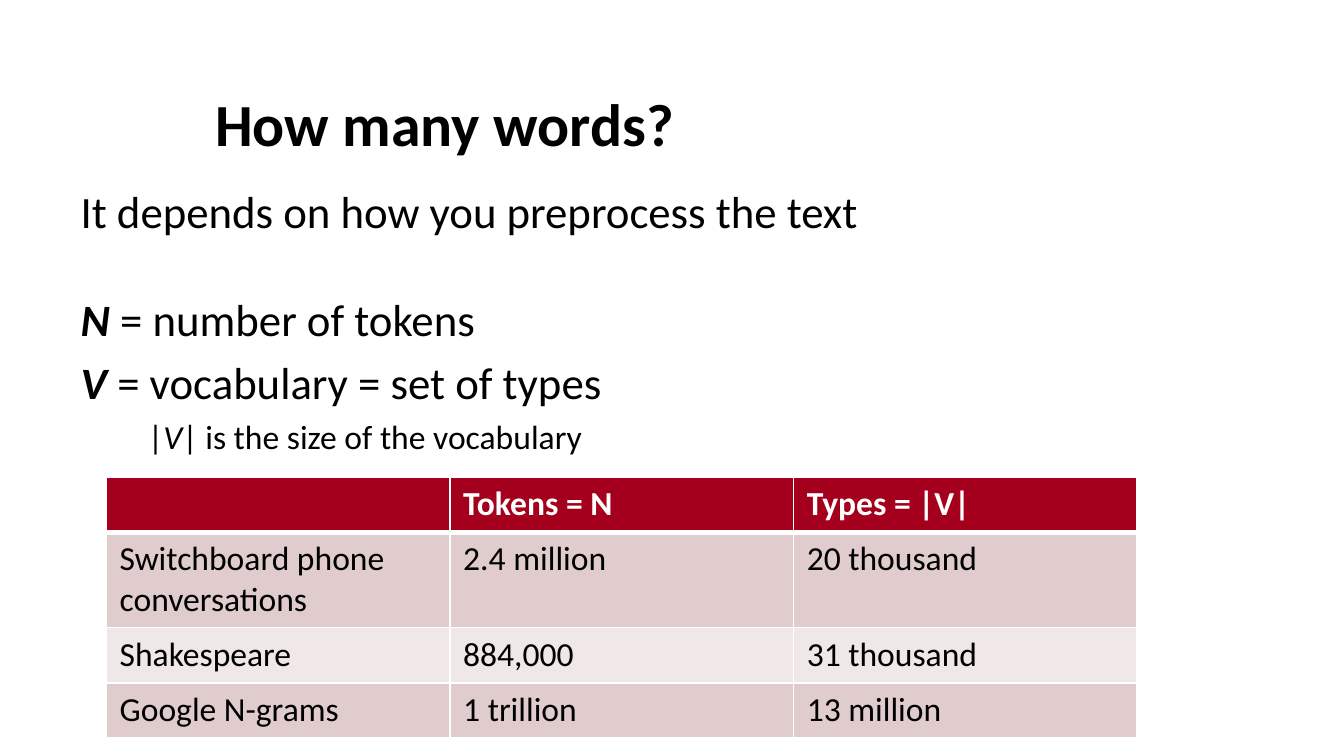
from lxml import etree
from pptx import Presentation
from pptx.dml.color import RGBColor
from pptx.enum.text import MSO_ANCHOR, MSO_AUTO_SIZE, PP_ALIGN
from pptx.oxml.ns import qn
from pptx.util import Inches, Pt

LEFT = PP_ALIGN.LEFT
TOP = MSO_ANCHOR.TOP
BOTTOM = MSO_ANCHOR.BOTTOM
NO_AUTOFIT = MSO_AUTO_SIZE.NONE

BLACK = RGBColor(0x00, 0x00, 0x00)
WHITE = RGBColor(0xFF, 0xFF, 0xFF)
RED = RGBColor(0xA4, 0x00, 0x1D)
ROSE = RGBColor(0xE0, 0xCC, 0xCC)
PALE_ROSE = RGBColor(0xF0, 0xE7, 0xE7)


def add_run(paragraph, text, size, color=BLACK, bold=False, italic=False):
    run = paragraph.add_run()
    run.text = text
    font_format = {"name": "Calibri", "size": Pt(size), "bold": bold, "italic": italic}
    for attribute, value in font_format.items():
        setattr(run.font, attribute, value)
    run.font.color.rgb = color


def add_border(cell, side, width):
    line = etree.SubElement(cell._tc.get_or_add_tcPr(), qn(f"a:ln{side}"), w=str(Pt(width)))
    fill = etree.SubElement(line, qn("a:solidFill"))
    etree.SubElement(fill, qn("a:srgbClr"), val=str(WHITE))


# Widescreen slide, 16:9
presentation = Presentation()
presentation.slide_width = Inches(10)
presentation.slide_height = presentation.slide_width * 9 // 16
slide = presentation.slides.add_slide(presentation.slide_layouts[1])
title, body = slide.placeholders

# Place the title and body placeholders
for shape, box, anchor in (
    (title, (1.5, 0.42, 8.17, 0.81), BOTTOM),
    (body, (0.5, 1.32, 9.25, 4.49), TOP),
):
    shape.left, shape.top, shape.width, shape.height = map(Inches, box)
    frame_format = {"word_wrap": True, "auto_size": NO_AUTOFIT, "vertical_anchor": anchor}
    for attribute, value in frame_format.items():
        setattr(shape.text_frame, attribute, value)

# Title
heading = title.text_frame.paragraphs[0]
heading.alignment = LEFT
add_run(heading, "How many words?", 32, bold=True)

# Body: indent, space before, size, then runs of text with bold and italic
STRONG, SLANTED, PLAIN = (True, True), (False, True), (False, False)
body_lines = [
    (0, 0, 24, [("It depends on how you preprocess the text", PLAIN)]),
    (0, 29, 24, [("N", STRONG), (" = number of tokens", PLAIN)]),
    (0, 5, 24, [("V", STRONG), (" = vocabulary = set of types", PLAIN)]),
    (0.5, 4, 18, [("|", PLAIN), ("V", SLANTED), ("| is the size of the vocabulary", PLAIN)]),
]
for index, (indent, space, size, runs) in enumerate(body_lines):
    frame = body.text_frame
    paragraph = frame.add_paragraph() if index else frame.paragraphs[0]
    properties = paragraph._p.get_or_add_pPr()
    properties.set("marL", str(Inches(indent)))
    properties.set("indent", "0")
    etree.SubElement(properties, qn("a:buNone"))
    paragraph.alignment = LEFT
    paragraph.space_before = Pt(space)
    for text, (bold, italic) in runs:
        add_run(paragraph, text, size, bold=bold, italic=italic)

# Table of corpus sizes
rows = [
    ("", "Tokens = N", "Types = |V|"),
    ("Switchboard phone conversations", "2.4 million", "20 thousand"),
    ("Shakespeare", "884,000", "31 thousand"),
    ("Google N-grams", "1 trillion", "13 million"),
]
row_heights = [0.41, 0.7, 0.41, 0.41]
row_fills = [RED, ROSE, PALE_ROSE, ROSE]
# The new table shares its width equally among the columns
table = slide.shapes.add_table(
    len(rows), 3, Inches(0.79), Inches(3.55), Inches(7.67), Inches(sum(row_heights))
).table

for row_index, texts in enumerate(rows):
    table.rows[row_index].height = Inches(row_heights[row_index])
    is_header = row_index == 0
    for column_index, text in enumerate(texts):
        cell = table.cell(row_index, column_index)
        for side in "LRTB":
            below_header = (row_index, side) in ((0, "B"), (1, "T"))
            add_border(cell, side, 3 if below_header else 0.96)
        cell.fill.solid()
        cell.fill.fore_color.rgb = row_fills[row_index]
        if text:
            paragraph = cell.text_frame.paragraphs[0]
            add_run(paragraph, text, 18, WHITE if is_header else BLACK, bold=is_header)

presentation.save("out.pptx")
